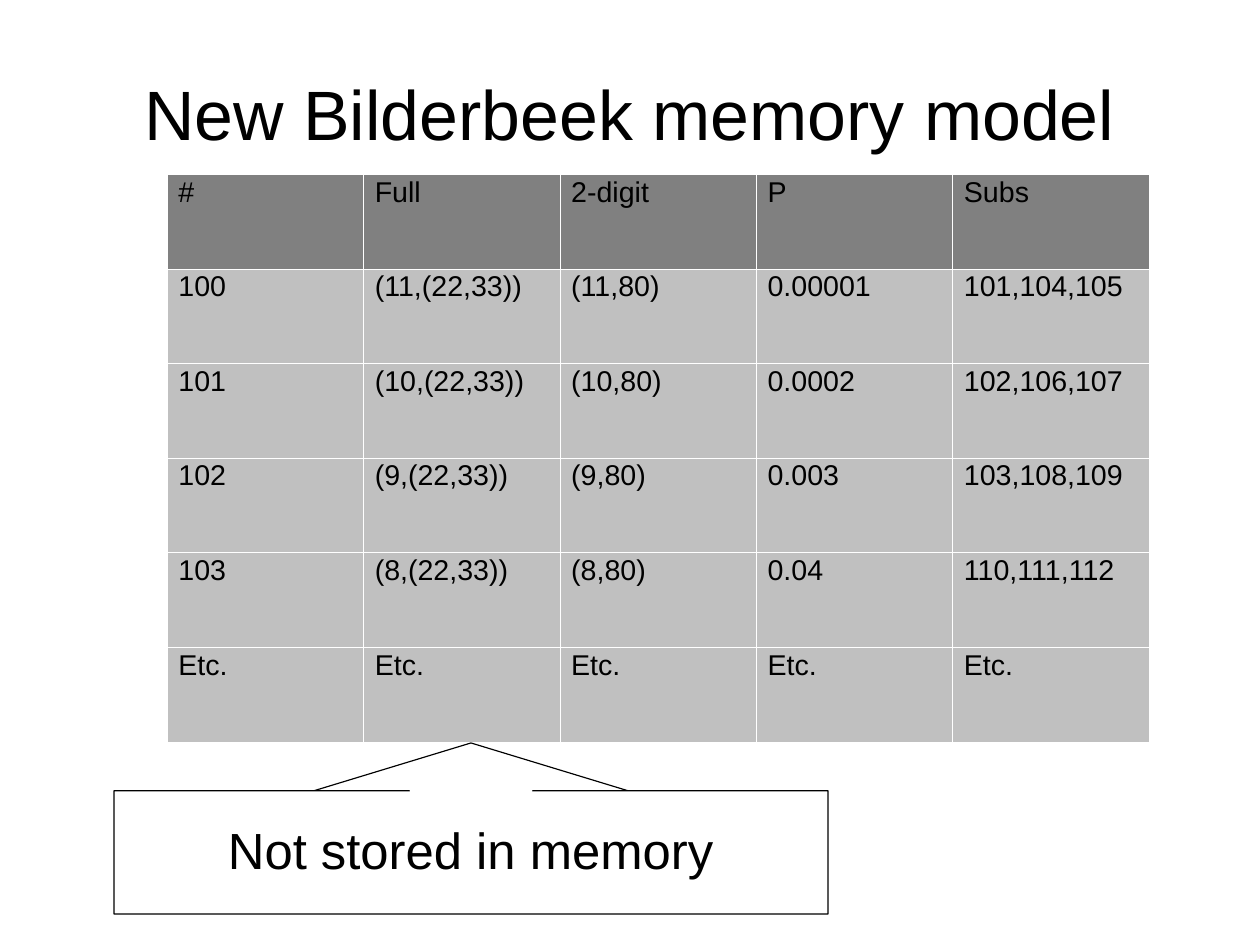
from lxml import etree
from pptx import Presentation
from pptx import util as u
from pptx.dml import color
from pptx.enum import shapes, text
from pptx.oxml import ns

PX = 8000  # EMU per px
HUES = {"ink": "000000", "paper": "FFFFFF", "head": "808080", "body": "C0C0C0"}
FONT = "Arial"
ROWS = [
    ["#", "Full", "2-digit", "P", "Subs"],
    ["100", "(11,(22,33))", "(11,80)", "0.00001", "101,104,105"],
    ["101", "(10,(22,33))", "(10,80)", "0.0002", "102,106,107"],
    ["102", "(9,(22,33))", "(9,80)", "0.003", "103,108,109"],
    ["103", "(8,(22,33))", "(8,80)", "0.04", "110,111,112"],
    ["Etc."] * 5,
]


def px(*nums):
    return [u.Emu(n * PX) for n in nums]


def hue(name):
    return color.RGBColor.from_string(HUES[name])


def paint(item, name):
    item.fill.solid()
    item.fill.fore_color.rgb = hue(name)


def write(frame, words, size, align, gap):
    frame.text = words
    para = frame.paragraphs[0]
    para.alignment = align
    para.line_spacing = gap
    para.font.size = u.Pt(size)
    para.font.name = FONT
    para.font.color.rgb = hue("ink")


def add_title(slide, words, box):
    title = slide.shapes.title
    title.left, title.top, title.width, title.height = px(*box)
    frame = title.text_frame
    frame.margin_left = frame.margin_right = 0
    frame.margin_top = frame.margin_bottom = 0
    frame.auto_size = text.MSO_AUTO_SIZE.NONE
    frame.vertical_anchor = text.MSO_ANCHOR.MIDDLE
    write(frame, words, 44, text.PP_ALIGN.CENTER, 0.93)


def edge(cell):
    """Draw hairlines on all four sides, ahead of the cell's fill."""
    props = cell._tc.get_or_add_tcPr()
    for spot, side in enumerate(["lnL", "lnR", "lnT", "lnB"]):
        line = etree.Element(ns.qn("a:" + side), w="762")
        fill = etree.SubElement(line, ns.qn("a:solidFill"))
        etree.SubElement(fill, ns.qn("a:srgbClr"), val=HUES["paper"])
        props.insert(spot, line)


def add_grid(slide, rows, box):
    table = slide.shapes.add_table(len(rows), len(rows[0]), *px(*box)).table
    table.first_row = table.horz_banding = False
    for r, row in enumerate(rows):
        for c, words in enumerate(row):
            cell = table.cell(r, c)
            write(cell.text_frame, words, 18, text.PP_ALIGN.LEFT, 0.87)
            paint(cell, "body" if r else "head")
            edge(cell)


def add_note(slide, words, box):
    kind = shapes.MSO_SHAPE.UP_ARROW_CALLOUT
    note = slide.shapes.add_shape(kind, *px(*box))
    for i, share in enumerate([0.72, 0.92, 0.28, 0.96]):
        note.adjustments[i] = share
    note.shadow.inherit = False
    paint(note, "paper")
    note.line.color.rgb = hue("ink")
    note.line.width = u.Pt(0.75)
    frame = note.text_frame
    frame.word_wrap = False
    frame.vertical_anchor = text.MSO_ANCHOR.MIDDLE
    write(frame, words, 32, text.PP_ALIGN.CENTER, 0.93)


def main():
    deck = Presentation()
    deck.slide_width, deck.slide_height = px(1260, 945)
    slide = deck.slides.add_slide(deck.slide_layouts[5])
    # Heading
    add_title(slide, "New Bilderbeek memory model", (63, 38, 1134, 158))
    # Memory table
    add_grid(slide, ROWS, (167, 174, 982, 568))
    # Callout under the "Full" column
    add_note(slide, "Not stored in memory", (114, 743, 714, 171))
    deck.save("out.pptx")


if __name__ == "__main__":
    main()
